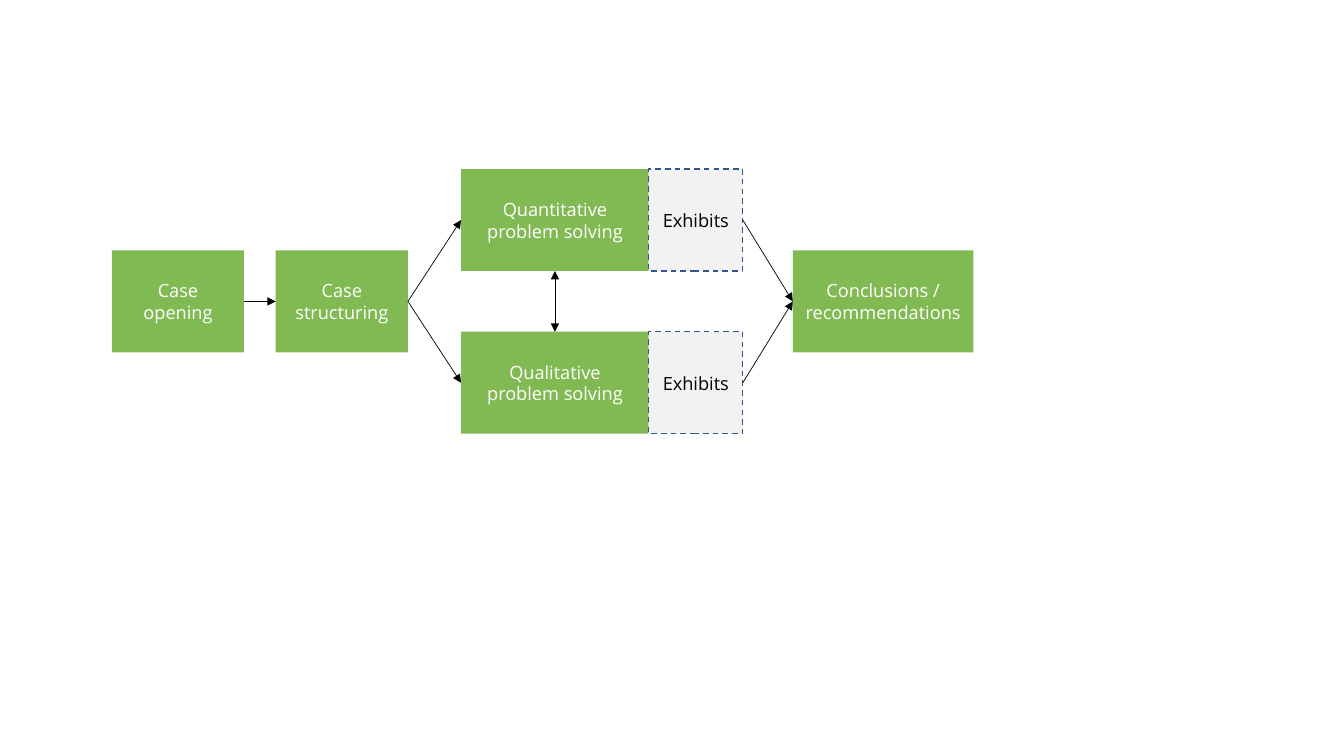
from dataclasses import dataclass

from lxml import etree
from pptx import Presentation
from pptx.dml.color import RGBColor
from pptx.enum.dml import MSO_LINE
from pptx.enum.shapes import MSO_CONNECTOR, MSO_SHAPE
from pptx.enum.text import MSO_ANCHOR, PP_ALIGN
from pptx.oxml.ns import qn
from pptx.shapes.autoshape import Shape
from pptx.slide import Slide
from pptx.util import Cm, Pt

RECTANGLE = MSO_SHAPE.RECTANGLE
STRAIGHT = MSO_CONNECTOR.STRAIGHT
DASH = MSO_LINE.DASH
CENTER = PP_ALIGN.CENTER
MIDDLE = MSO_ANCHOR.MIDDLE
TOP, LEFT, BOTTOM, RIGHT = range(4)


@dataclass(frozen=True)
class Theme:
    font: str = "Open Sans"
    text_size: float = 13
    arrow_width: float = 0.5
    border_width: float = 1
    step_fill: str = "81BA53"
    step_text: str = "FFFFFF"
    exhibit_fill: str = "F2F2F2"
    exhibit_text: str = "000000"
    exhibit_border: str = "325491"
    arrow: str = "000000"


@dataclass(frozen=True)
class Box:
    text: str
    left: float
    width: float
    row: int
    exhibit: bool = False


@dataclass(frozen=True)
class Arrow:
    start: str
    start_side: int
    end: str
    end_side: int
    both_ways: bool = False


THEME = Theme()
FIRST_ROW_TOP, ROW_STEP, BOX_HEIGHT = 4.26, 2.05, 2.57
SIDE_MARGIN = 0.28

BOXES = {
    "opening": Box("Case opening", 2.82, 3.33, 1),
    "structuring": Box("Case structuring", 6.95, 3.33, 1),
    "conclusions": Box("Conclusions / recommendations", 19.98, 4.55, 1),
    "quantitative": Box("Quantitative problem solving", 11.62, 4.73, 0),
    "quantitative exhibits": Box("Exhibits", 16.35, 2.37, 0, True),
    "qualitative": Box("Qualitative problem solving", 11.62, 4.73, 2),
    "qualitative exhibits": Box("Exhibits", 16.35, 2.37, 2, True),
}

ARROWS = [
    Arrow("opening", RIGHT, "structuring", LEFT),
    Arrow("structuring", RIGHT, "quantitative", LEFT),
    Arrow("structuring", RIGHT, "qualitative", LEFT),
    Arrow("quantitative exhibits", RIGHT, "conclusions", LEFT),
    Arrow("qualitative exhibits", RIGHT, "conclusions", LEFT),
    Arrow("qualitative", TOP, "quantitative", BOTTOM, both_ways=True),
]


def write_text(sp: Shape, text: str, *, color: str,
               size: float = THEME.text_size, font: str = THEME.font) -> None:
    tf = sp.text_frame
    tf.word_wrap = True
    tf.vertical_anchor = MIDDLE
    tf.margin_left = tf.margin_right = Cm(SIDE_MARGIN)
    p = tf.paragraphs[0]
    p.alignment = CENTER
    r = p.add_run()
    r.text = text
    r.font.name = font
    r.font.size = Pt(size)
    r.font.color.rgb = RGBColor.from_string(color)


def add_box(s: Slide, box: Box) -> Shape:
    top = FIRST_ROW_TOP + box.row * ROW_STEP
    sp = s.shapes.add_shape(RECTANGLE, Cm(box.left), Cm(top),
                            Cm(box.width), Cm(BOX_HEIGHT))
    sp.shadow.inherit = False
    sp.fill.solid()
    fill = THEME.exhibit_fill if box.exhibit else THEME.step_fill
    sp.fill.fore_color.rgb = RGBColor.from_string(fill)
    if box.exhibit:
        sp.line.color.rgb = RGBColor.from_string(THEME.exhibit_border)
        sp.line.width = Pt(THEME.border_width)
        sp.line.dash_style = DASH
    else:
        sp.line.fill.background()
    write_text(sp, box.text,
               color=THEME.exhibit_text if box.exhibit else THEME.step_text)
    return sp


def add_arrow(s: Slide, arrow: Arrow, shapes: dict[str, Shape]) -> None:
    line = s.shapes.add_connector(STRAIGHT, 0, 0, 0, 0)
    line.begin_connect(shapes[arrow.start], arrow.start_side)
    line.end_connect(shapes[arrow.end], arrow.end_side)
    line.line.color.rgb = RGBColor.from_string(THEME.arrow)
    line.line.width = Pt(THEME.arrow_width)
    ln = line.line._get_or_add_ln()
    for tag in ("a:headEnd", "a:tailEnd") if arrow.both_ways else ("a:tailEnd",):
        etree.SubElement(ln, qn(tag), type="triangle")
    etree.SubElement(line._element.spPr, qn("a:effectLst"))


def main() -> None:
    prs = Presentation()
    prs.slide_width, prs.slide_height = Cm(33.87), Cm(19.05)
    s = prs.slides.add_slide(prs.slide_layouts[6])
    shapes = {name: add_box(s, box) for name, box in BOXES.items()}
    for arrow in ARROWS:
        add_arrow(s, arrow, shapes)
    prs.save("out.pptx")


if __name__ == "__main__":
    main()
